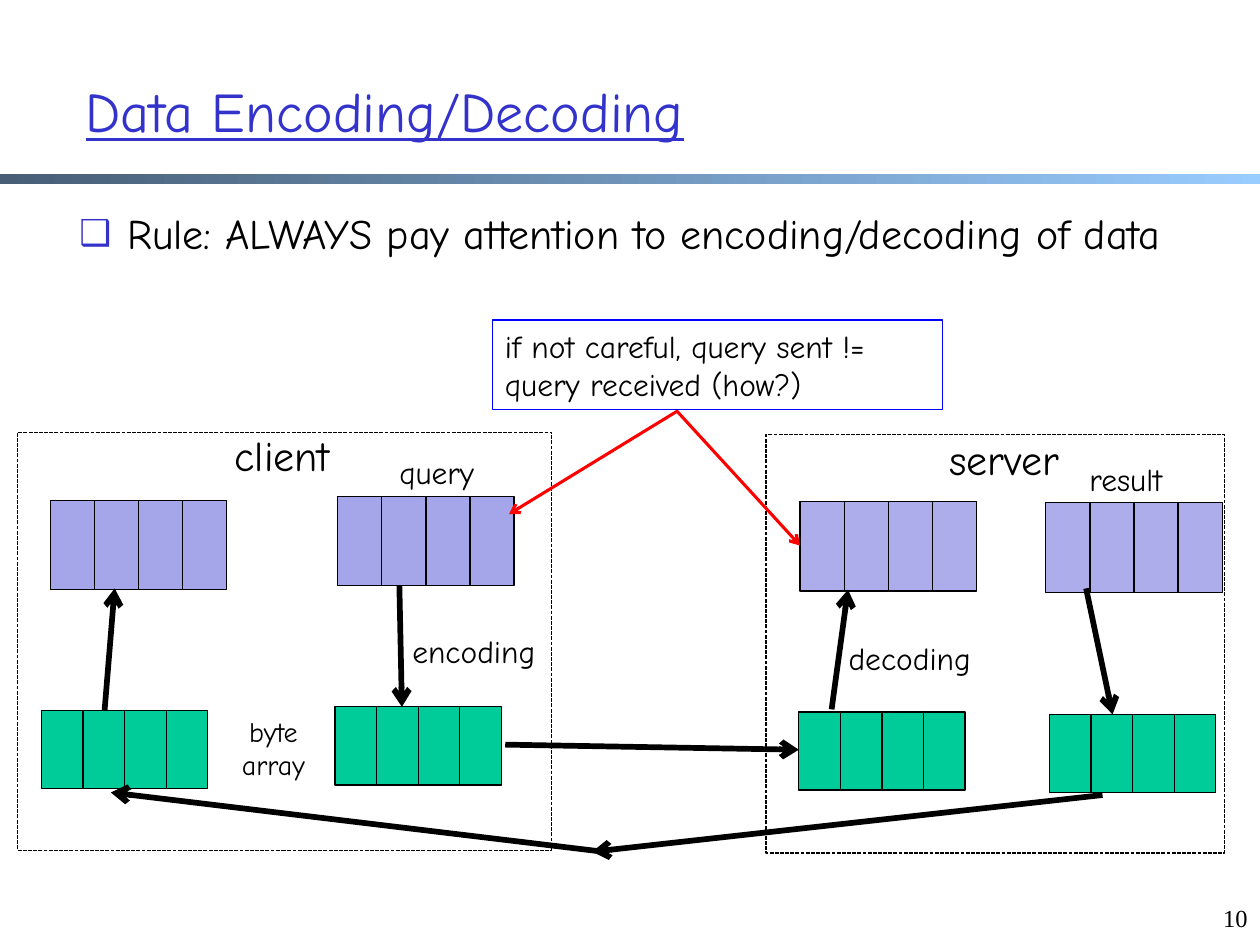
from dataclasses import dataclass
from typing import Optional

from lxml import etree
from pptx import Presentation
from pptx import util as u
from pptx.dml.color import RGBColor
from pptx.enum import dml, shapes, text
from pptx.oxml.ns import qn


@dataclass(frozen=True)
class Theme:
    font: str = "Comic Neue"
    number_font: str = "Times New Roman"
    black: str = "000000"
    white: str = "FFFFFF"
    accent: str = "3333CC"
    note_line: str = "0000FF"
    warning: str = "FF0000"
    client_data: str = "A5A5E9"
    server_data: str = "ADADEB"
    encoded: str = "00CC99"
    bar_start: str = "475E76"
    bar_end: str = "99CCFF"
    title: float = 32
    heading: float = 24
    label: float = 18
    small: float = 16
    number: float = 14
    thin: float = 0.75
    flow: float = 3.25
    pointer: float = 1.75


THEME = Theme()


@dataclass(frozen=True)
class Box:
    left: float
    top: float
    width: float
    height: float

    def emu(self) -> list:
        return [u.Inches(v) for v in (self.left, self.top, self.width, self.height)]


@dataclass(frozen=True)
class Buffer:
    """A row of four adjoining cells."""
    left: float
    top: float
    color: str


@dataclass(frozen=True)
class Arrow:
    start: tuple[float, float]
    end: tuple[float, float]
    color: str = THEME.black
    width: float = THEME.flow


@dataclass(frozen=True)
class Label:
    words: str
    box: Box
    size: float = THEME.label
    wrap: bool = False


PANELS = [Box(0.14, 3.43, 4.24, 3.32), Box(6.08, 3.45, 3.64, 3.32)]
NOTE = Label("if not careful, query sent != query received (how?)",
             Box(3.91, 2.54, 3.57, 0.71), wrap=True)
CELL_SIZES = {
    THEME.client_data: (0.35, 0.71),
    THEME.server_data: (0.35, 0.71),
    THEME.encoded: (0.33, 0.62),
}
BUFFERS = [
    Buffer(0.4, 3.97, THEME.client_data),
    Buffer(2.68, 3.94, THEME.client_data),
    Buffer(6.35, 3.98, THEME.server_data),
    Buffer(8.3, 3.99, THEME.server_data),
    Buffer(0.33, 5.64, THEME.encoded),
    Buffer(2.66, 5.61, THEME.encoded),
    Buffer(6.34, 5.65, THEME.encoded),
    Buffer(8.33, 5.67, THEME.encoded),
]
ARROWS = [
    Arrow((3.17, 4.65), (3.19, 5.61)),
    Arrow((4.01, 5.91), (6.34, 5.95)),
    Arrow((6.6, 5.63), (6.73, 4.68)),
    Arrow((8.62, 4.67), (8.83, 5.67)),
    Arrow((8.75, 6.31), (4.7, 6.76)),
    Arrow((4.79, 6.76), (0.88, 6.29)),
    Arrow((0.83, 5.64), (0.91, 4.67)),
    Arrow((5.37, 3.26), (6.35, 4.33), THEME.warning, THEME.pointer),
    Arrow((5.38, 3.26), (4.04, 4.08), THEME.warning, THEME.pointer),
]
LABELS = [
    Label("client", Box(1.7, 3.36, 1.08, 0.5), THEME.heading),
    Label("server", Box(7.36, 3.39, 1.22, 0.5), THEME.heading),
    Label("query", Box(2.39, 3.55, 2.15, 0.4), wrap=True),
    Label("result", Box(7.86, 3.6, 2.15, 0.4), wrap=True),
    Label("encoding", Box(3.15, 4.97, 1.22, 0.4)),
    Label("decoding", Box(6.6, 5.02, 1.24, 0.4)),
    Label("byte\narray", Box(1.78, 5.62, 0.78, 0.64), THEME.small),
]


def rgb(color: str) -> RGBColor:
    return RGBColor.from_string(color)


def write(frame, words: str, size: float, align=text.PP_ALIGN.LEFT,
          color: str = THEME.black, font: str = THEME.font) -> None:
    frame.text = words
    for para in frame.paragraphs:
        para.alignment = align
        for span in para.runs:
            span.font.size = u.Pt(size)
            span.font.name = font
            span.font.color.rgb = rgb(color)


def place(shape, box: Box) -> None:
    shape.left, shape.top, shape.width, shape.height = box.emu()


def add_rectangle(page, box: Box, fill: Optional[str], line: str = THEME.black):
    shape = page.shapes.add_shape(shapes.MSO_SHAPE.RECTANGLE, *box.emu())
    shape.shadow.inherit = False
    if fill:
        shape.fill.solid()
        shape.fill.fore_color.rgb = rgb(fill)
    else:
        shape.fill.background()
    shape.line.color.rgb = rgb(line)
    shape.line.width = u.Pt(THEME.thin)
    return shape


def add_bar(page) -> None:
    bar = add_rectangle(page, Box(0, 1.38, 10, 0.08), None)
    bar.line.fill.background()
    bar.fill.gradient()
    bar.fill.gradient_angle = 0
    for stop, color in zip(bar.fill.gradient_stops, (THEME.bar_start, THEME.bar_end)):
        stop.color.rgb = rgb(color)


def add_buffer(page, buffer: Buffer) -> None:
    width, height = CELL_SIZES[buffer.color]
    for index in range(4):
        cell = Box(buffer.left + index * width, buffer.top, width, height)
        add_rectangle(page, cell, buffer.color)


def add_arrow(page, arrow: Arrow) -> None:
    ends = [u.Inches(v) for v in arrow.start + arrow.end]
    line = page.shapes.add_connector(shapes.MSO_CONNECTOR.STRAIGHT, *ends)
    line.line.color.rgb = rgb(arrow.color)
    line.line.width = u.Pt(arrow.width)
    etree.SubElement(line.line._get_or_add_ln(), qn("a:tailEnd"), type="arrow")
    etree.SubElement(line._element.spPr, qn("a:effectLst"))


def add_label(page, label: Label) -> None:
    frame = page.shapes.add_textbox(*label.box.emu()).text_frame
    frame.word_wrap = label.wrap
    write(frame, label.words, label.size, text.PP_ALIGN.CENTER)


def add_bullet(para) -> None:
    props = para._p.get_or_add_pPr()
    props.set("marL", str(u.Inches(0.38)))
    props.set("indent", str(-u.Inches(0.38)))
    color = etree.SubElement(props, qn("a:buClr"))
    etree.SubElement(color, qn("a:srgbClr"), val=THEME.accent)
    etree.SubElement(props, qn("a:buSzPct"), val="85000")
    etree.SubElement(props, qn("a:buChar"), char="❑")


def fill_placeholders(page) -> None:
    title, body = page.shapes.title, page.placeholders[1]
    place(title, Box(0.58, 0.25, 8.5, 1.25))
    title.text_frame.vertical_anchor = text.MSO_ANCHOR.MIDDLE
    write(title.text_frame, "Data Encoding/Decoding", THEME.title, color=THEME.accent)
    title.text_frame.paragraphs[0].runs[0].font.underline = True
    place(body, Box(0.53, 1.6, 8.95, 5.08))
    write(body.text_frame, "Rule: ALWAYS pay attention to encoding/decoding of data",
          THEME.heading)
    rule = body.text_frame.paragraphs[0]
    rule.space_before = u.Pt(0)
    add_bullet(rule)
    for holder in (title, body):
        holder.text_frame.auto_size = text.MSO_AUTO_SIZE.NONE


def main() -> None:
    deck = Presentation()
    deck.slide_width, deck.slide_height = u.Inches(10), u.Inches(7.5)
    page = deck.slides.add_slide(deck.slide_layouts[1])
    add_bar(page)
    fill_placeholders(page)
    for panel in PANELS:
        add_rectangle(page, panel, THEME.white).line.dash_style = dml.MSO_LINE.SQUARE_DOT
    for buffer in BUFFERS:
        add_buffer(page, buffer)
    for arrow in ARROWS:
        add_arrow(page, arrow)
    for label in LABELS:
        add_label(page, label)
    note = add_rectangle(page, NOTE.box, None, THEME.note_line)
    note.text_frame.word_wrap = NOTE.wrap
    write(note.text_frame, NOTE.words, NOTE.size)
    number = page.shapes.add_textbox(*Box(9.5, 7.12, 0.5, 0.5).emu())
    write(number.text_frame, "10", THEME.number, text.PP_ALIGN.RIGHT, font=THEME.number_font)
    number.text_frame.word_wrap = True
    deck.save("out.pptx")


if __name__ == "__main__":
    main()
